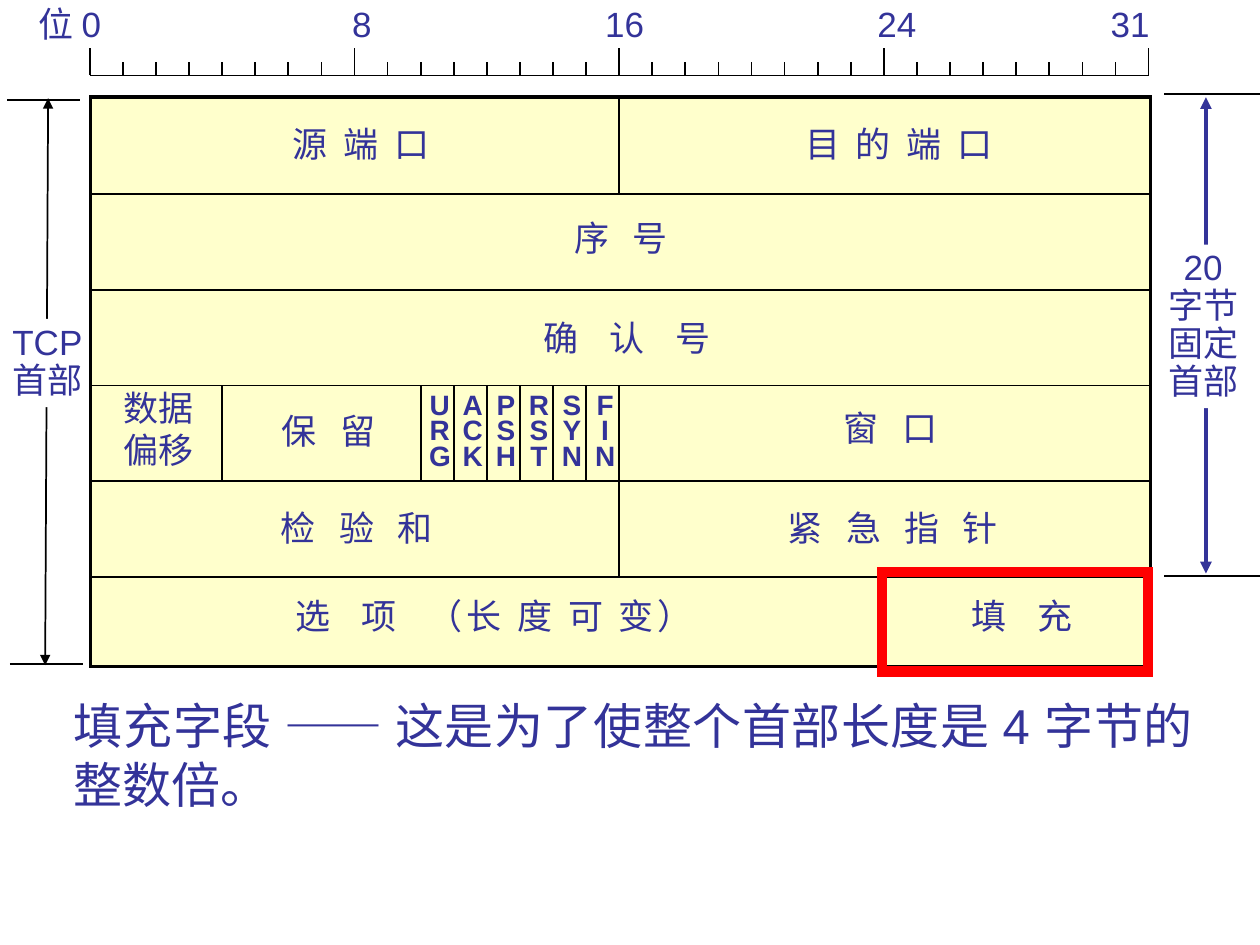
from pptx import Presentation
from pptx.dml.color import RGBColor
from pptx.enum.shapes import MSO_CONNECTOR, MSO_SHAPE
from pptx.enum.text import PP_ALIGN
from pptx.oxml.ns import qn
from pptx.util import Cm, Pt
from lxml import etree

NAVY = RGBColor(0x33, 0x33, 0x99)
BLACK = RGBColor(0, 0, 0)
WHITE = RGBColor(0xFF, 0xFF, 0xFF)
CREAM = RGBColor(0xFF, 0xFF, 0xCC)
RED = RGBColor(0xFF, 0, 0)
CENTER, LEFT, JUSTIFY = PP_ALIGN.CENTER, PP_ALIGN.LEFT, PP_ALIGN.JUSTIFY
STRAIGHT = MSO_CONNECTOR.STRAIGHT
RECT = MSO_SHAPE.RECTANGLE

GRID_X, GRID_Y = 1.81, 1.98
BIT_W, ROW_H = 0.667, 1.93
GRID_RIGHT, GRID_BOTTOM = 23.19, 13.44
RULER_Y = 1.52
SPACE_PT = 4.45
GLYPH_W, SPACE_W, FIELD_PAD = 0.71, 0.16, 0.95

# Field name, width of its gaps in spaces, centre, top
FIELDS = [
    ("源 端 口", 2, 7.28, 2.34),
    ("目 的 端 口", 2, 18.12, 2.34),
    ("序 号", 3, 12.52, 4.24),
    ("确 认 号", 4, 12.64, 6.25),
    ("保 留", 3, 6.62, 8.13),
    ("窗 口", 3, 17.95, 8.08),
    ("检 验 和", 3, 7.19, 10.08),
    ("紧 急 指 针", 3, 18.0, 10.08),
    ("填 充", 4, 20.6, 11.86),
]
FLAGS = ["URG", "ACK", "PSH", "RST", "SYN", "FIN"]


def bit_x(bit):
    return GRID_X + bit * BIT_W


def row_y(row):
    return GRID_Y + row * ROW_H


def spaced_width(text, gap):
    """Width in cm of a text whose spaces are each gap spaces wide."""
    spaces = text.count(" ")
    return (len(text) - spaces) * GLYPH_W + spaces * gap * SPACE_W


class Canvas:
    def __init__(self, slide, font="Arial", size=20, color=NAVY):
        self.s, self.font, self.size, self.color = slide, font, size, color

    def line(self, x1, y1, x2, y2, color=BLACK, width=1, arrows=False):
        c = self.s.shapes.add_connector(STRAIGHT, Cm(x1), Cm(y1), Cm(x2), Cm(y2))
        c.line.color.rgb = color
        c.line.width = Pt(width)
        if arrows:
            ln = c.line._get_or_add_ln()
            for end in ("a:headEnd", "a:tailEnd"):
                etree.SubElement(ln, qn(end), type="triangle")
        etree.SubElement(c._element.spPr, qn("a:effectLst"))

    def rect(self, x, y, w, h, color, width, fill=None):
        sp = self.s.shapes.add_shape(RECT, Cm(x), Cm(y), Cm(w), Cm(h))
        sp.shadow.inherit = False
        if fill is None:
            sp.fill.background()
        else:
            sp.fill.solid()
            sp.fill.fore_color.rgb = fill
        sp.line.color.rgb = color
        sp.line.width = Pt(width)
        etree.SubElement(sp.line._get_or_add_ln(), qn("a:miter"), lim="800000")

    def text(self, x, y, w, h, lines, align=CENTER, size=None, bold=False,
             spacing=None, fill=None, wrap=False):
        """Add a text box with one paragraph per line and return its paragraphs."""
        sp = self.s.shapes.add_textbox(Cm(x), Cm(y), Cm(w), Cm(h))
        if fill is not None:
            sp.fill.solid()
            sp.fill.fore_color.rgb = fill
        tf = sp.text_frame
        tf.word_wrap = wrap
        tf.text = "\n".join(lines)
        for p in tf.paragraphs:
            p.alignment = align
            p.line_spacing = spacing
            p.font.name = self.font
            p.font.size = Pt(size or self.size)
            p.font.bold = bold
            p.font.color.rgb = self.color
        return tf.paragraphs

    def field(self, parts, center, y):
        """Add a field name from (text, gap) parts, letter-spaced to the gap."""
        w = FIELD_PAD + sum(spaced_width(text, gap) for text, gap in parts)
        p = self.text(center - w / 2, y, w, 1.09, [""])[0]
        for text, gap in parts:
            r = p.add_run()
            r.text = text
            # One space is typed; the rest is shared by the two letter gaps
            spc = round((gap - 1) * SPACE_PT / 2 * 100)
            r._r.get_or_add_rPr().set("spc", str(spc))

    def tabs(self, p, stops):
        tab_list = etree.SubElement(p._p.get_or_add_pPr(), qn("a:tabLst"))
        for stop in stops:
            etree.SubElement(tab_list, qn("a:tab"), pos=str(Cm(stop)), algn="l")


def draw_ruler(c):
    c.line(GRID_X, RULER_Y, bit_x(32), RULER_Y)
    for bit in range(33):
        height = 0.55 if bit % 8 == 0 else 0.27
        c.line(bit_x(bit), RULER_Y - height, bit_x(bit), RULER_Y)
    p = c.text(0.53, -0.08, 22.96, 1.09, ["位 0\t8\t16\t24\t31"], LEFT, wrap=True)[0]
    c.tabs(p, [6.32, 11.42, 16.91, 21.61])


def draw_grid(c):
    c.rect(1.83, 1.96, GRID_RIGHT - 1.83, GRID_BOTTOM - 1.96, BLACK, 2, CREAM)
    for row in range(1, 6):
        c.line(GRID_X, row_y(row), GRID_RIGHT, row_y(row))
    for bit, top, bottom in [(16, 0, 1), (16, 3, 5), (4, 3, 4)]:
        c.line(bit_x(bit), row_y(top), bit_x(bit), row_y(bottom))
    c.line(bit_x(24), row_y(5), bit_x(24), GRID_BOTTOM)

    for name, gap, center, y in FIELDS:
        c.field([(name, gap)], center, y)
    c.field([("选 项 ", 4), ("（长 度 可 变）", 2)], 9.96, 11.86)
    c.text(2.24, 7.67, 1.93, 1.93, ["数据", "偏移"])
    for bit, flag in enumerate(FLAGS, start=10):
        c.line(bit_x(bit), row_y(3), bit_x(bit), row_y(4))
        c.text(bit_x(bit + 0.5) - 0.41, 7.85, 0.92, 1.78, flag,
               size=16, bold=True, spacing=0.75)


def draw_spans(c):
    c.line(0.97, 1.98, 0.91, 13.41, arrows=True)
    c.text(0, 6.43, 1.93, 1.78, ["TCP", "首部"], LEFT, spacing=0.9, fill=WHITE)
    c.line(24.31, 1.96, 24.31, 11.56, NAVY, 2.25, arrows=True)
    c.text(23.29, 4.93, 1.93, 3.3, ["20", "字节", "固定", "首部"],
           spacing=0.9, fill=WHITE)
    for x, y, w in [(0.15, 2.01, 1.47), (0.2, 13.39, 1.47),
                    (23.47, 1.9, 2.31), (23.47, 11.61, 2.31)]:
        c.line(x, y, x + w, y)


def main():
    prs = Presentation()
    prs.slide_width, prs.slide_height = Cm(25.4), Cm(19.05)
    c = Canvas(prs.slides.add_slide(prs.slide_layouts[6]))
    draw_spans(c)
    draw_grid(c)
    draw_ruler(c)
    c.rect(17.78, 11.53, 5.36, 2.01, RED, 6)
    c.text(1.24, 13.89, 23.06, 2.64,
           ["填充字段 —— 这是为了使整个首部长度是 4 字节的整数倍。"],
           JUSTIFY, size=28, wrap=True)
    prs.save("out.pptx")


if __name__ == "__main__":
    main()
